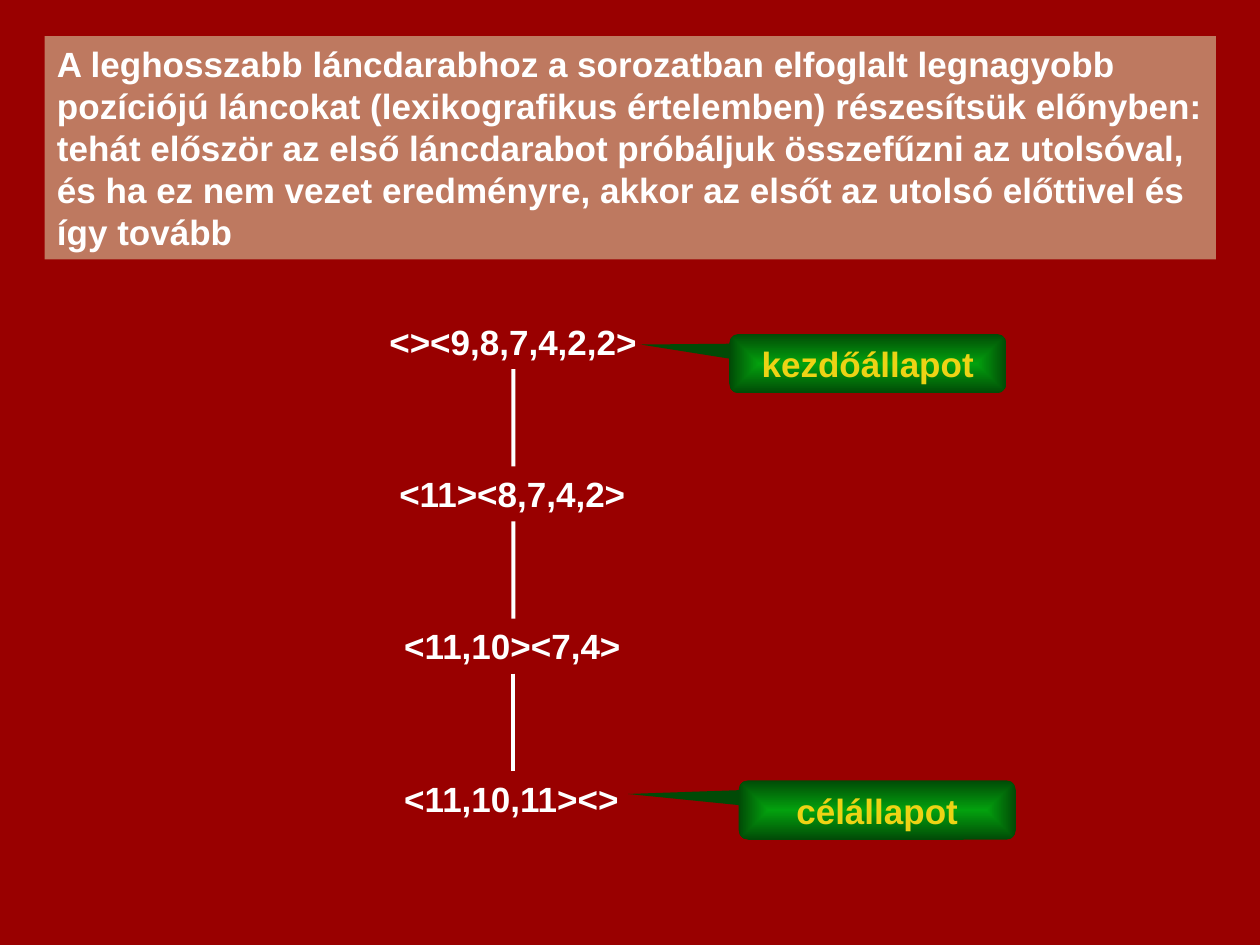
import pptx
import pptx.dml.color
import pptx.enum.shapes
import pptx.enum.text
import pptx.oxml
import pptx.oxml.ns
import pptx.util

Cm = pptx.util.Cm
SHAPES = pptx.enum.shapes.MSO_SHAPE
ANCHORS = pptx.enum.text.MSO_ANCHOR
ALIGNMENTS = pptx.enum.text.PP_ALIGN
AUTO_SIZES = pptx.enum.text.MSO_AUTO_SIZE


def paint(color_format, color):
    color_format.rgb = pptx.dml.color.RGBColor.from_string(color)


def write(box, text, color="FFFFFF", align=ALIGNMENTS.LEFT, anchor=ANCHORS.TOP,
          wrap=True, auto_size=AUTO_SIZES.NONE):
    frame = box.text_frame
    frame.word_wrap = wrap
    frame.auto_size = auto_size
    frame.vertical_anchor = anchor
    para = frame.paragraphs[0]
    para.alignment = align
    span = para.add_run()
    span.text = text
    span.font.name = "Arial"
    span.font.size = pptx.util.Pt(20)
    span.font.bold = True
    paint(span.font.color, color)


deck = pptx.Presentation()
deck.slide_width = Cm(25.4)
deck.slide_height = Cm(19.05)
page = deck.slides.add_slide(deck.slide_layouts[6])
page.background.fill.solid()
paint(page.background.fill.fore_color, "990000")

rule = page.shapes.add_shape(SHAPES.RECTANGLE, Cm(0.9), Cm(0.73), Cm(23.61), Cm(4.5))
rule.shadow.inherit = False
rule.fill.solid()
paint(rule.fill.fore_color, "BE7960")
rule.line.fill.background()
rule.text_frame.margin_right = Cm(0.2)
write(rule, "A leghosszabb láncdarabhoz a sorozatban elfoglalt legnagyobb pozíciójú "
      "láncokat (lexikografikus értelemben) részesítsük előnyben: tehát először az "
      "első láncdarabot próbáljuk összefűzni az utolsóval, és ha ez nem vezet "
      "eredményre, akkor az elsőt az utolsó előttivel és így tovább",
      auto_size=AUTO_SIZES.SHAPE_TO_FIT_TEXT)

states = [("<><9,8,7,4,2,2>", 5.5), ("<11><8,7,4,2>", 5.1),
          ("<11,10><7,4>", 4.9), ("<11,10,11><>", 4.9)]
state_boxes = []
for index, (text, width) in enumerate(states):
    box = page.shapes.add_textbox(Cm(10.35 - width / 2), Cm(6.33 + 3.07 * index),
                                  Cm(width), Cm(1.11))
    write(box, text, wrap=False, auto_size=AUTO_SIZES.SHAPE_TO_FIT_TEXT)
    state_boxes.append(box)

for upper, lower in zip(state_boxes, state_boxes[1:]):
    link = page.shapes.add_connector(pptx.enum.shapes.MSO_CONNECTOR.STRAIGHT, 0, 0, 0, 0)
    link.begin_connect(upper, 2)
    link.end_connect(lower, 0)
    link.line.width = pptx.util.Pt(2.25)
    paint(link.line.color, "FFFFFF")
    link._element.spPr.append(pptx.oxml.parse_xml(
        f"<a:effectLst {pptx.oxml.ns.nsdecls('a')}/>"))

callouts = [("kezdőállapot", 14.7, 6.73, -0.82, -0.32),
            ("célállapot", 14.89, 15.73, -0.9, -0.27)]
for text, left, top, tip_x, tip_y in callouts:
    callout = page.shapes.add_shape(SHAPES.ROUNDED_RECTANGULAR_CALLOUT,
                                    Cm(left), Cm(top), Cm(5.59), Cm(1.2))
    callout.shadow.inherit = False
    callout.adjustments[0] = tip_x
    callout.adjustments[1] = tip_y
    callout.line.fill.background()
    callout.fill.gradient()
    for stop, position, color in zip(callout.fill.gradient_stops, (0, 1),
                                     ("03A10E", "014A06")):
        stop.position = position
        paint(stop.color, color)
    direction = callout._element.spPr.find(".//" + pptx.oxml.ns.qn("a:lin"))
    direction.getparent().replace(direction, pptx.oxml.parse_xml(
        f'<a:path {pptx.oxml.ns.nsdecls("a")} path="rect">'
        '<a:fillToRect l="50000" t="50000" r="50000" b="50000"/></a:path>'))
    write(callout, text, color="EDD315", align=ALIGNMENTS.CENTER, anchor=ANCHORS.MIDDLE)

deck.save("out.pptx")
